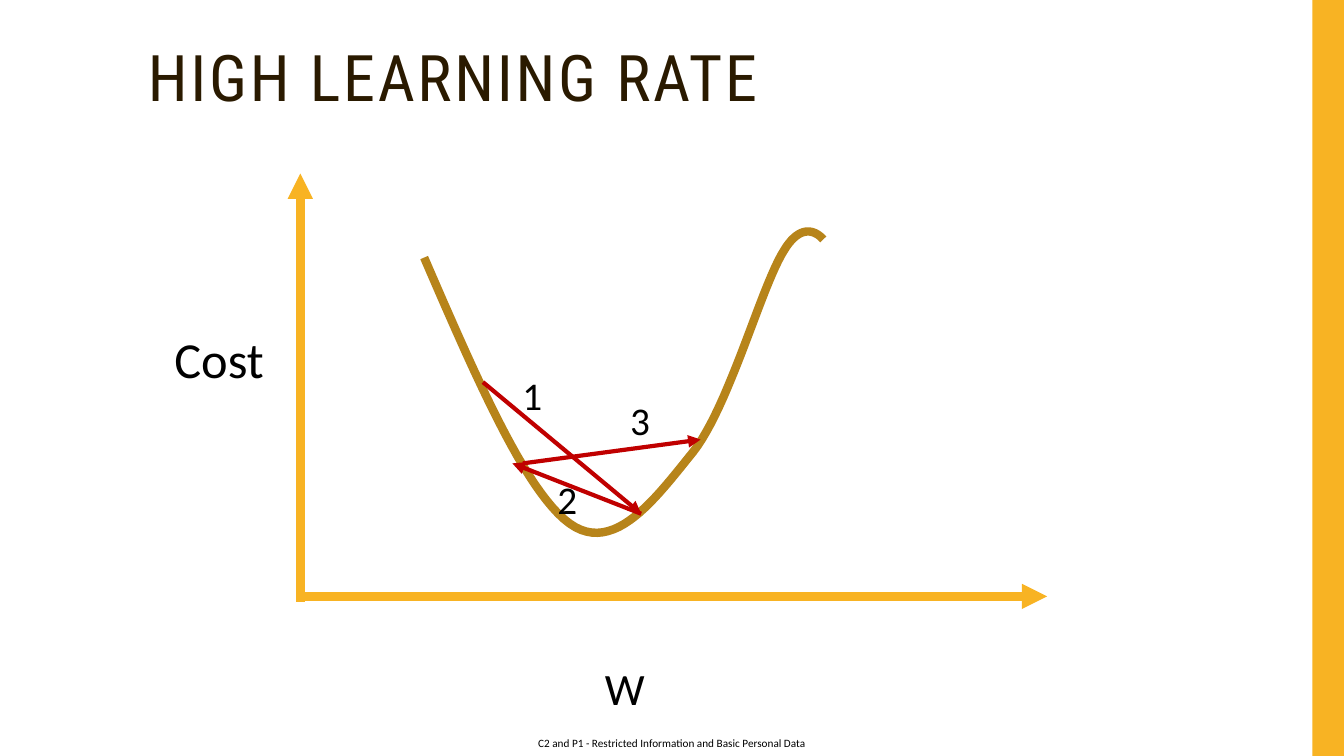
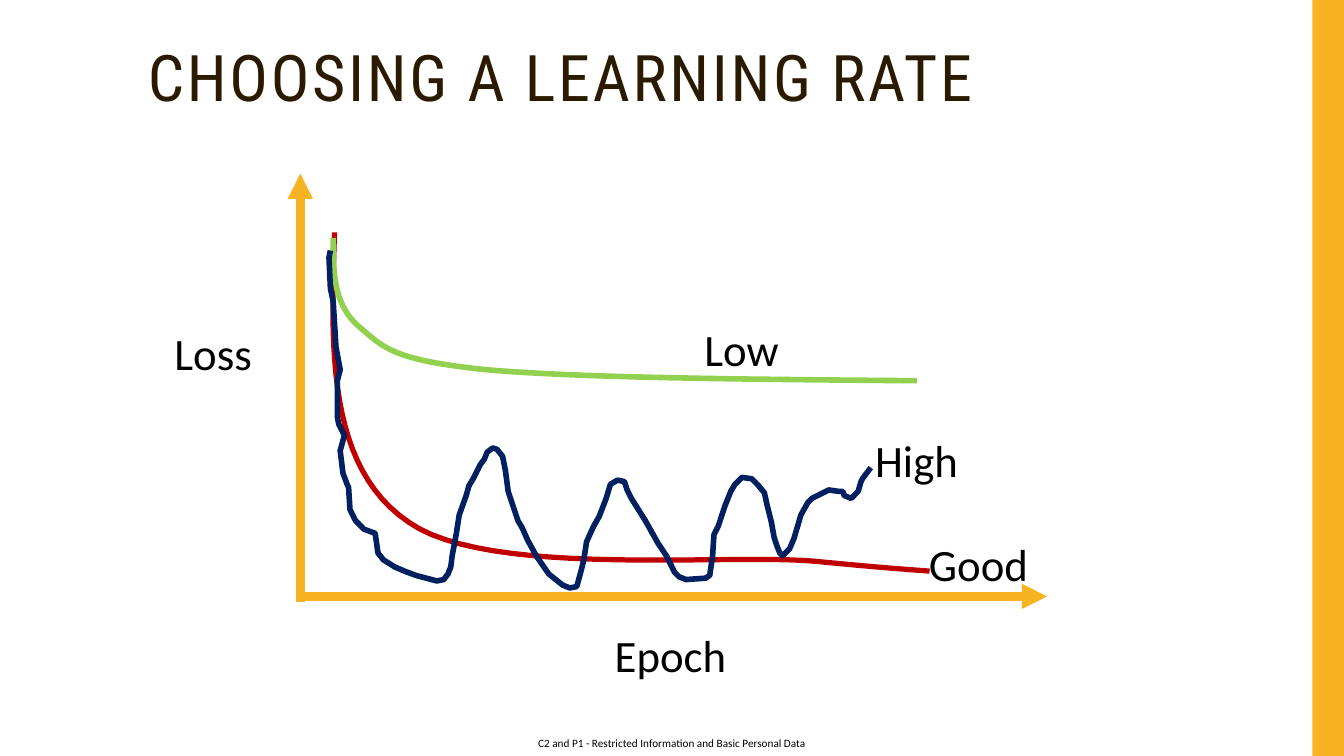
"""Build two slides about the learning rate of gradient descent."""
from dataclasses import dataclass

import pptx
import pptx.dml.color
import pptx.enum.shapes
import pptx.enum.text
import pptx.oxml
import pptx.oxml.ns
import pptx.util

Pt = pptx.util.Pt


@dataclass(frozen=True)
class Theme:
    """Colours, fonts and type sizes shared by the slides."""
    amber: str = "F8B323"
    bronze: str = "B7841A"
    red: str = "C00000"
    green: str = "92D050"
    navy: str = "002060"
    brown: str = "2A1A00"
    black: str = "000000"
    title_font: str = "Roboto Condensed"
    body_font: str = "Calibri"
    title: float = 45.9
    axis_large: float = 36
    label: float = 32
    step: float = 28
    footer: float = 8


THEME = Theme()
FOOTER = "C2 and P1 - Restricted Information and Basic Personal Data"

# Curves in points: a start, then two control points and an end per segment.
COST_CURVE = [
    (303, 184), (339, 267), (375, 351), (407, 374), (439, 397), (469, 355), (495, 323),
    (521, 290), (544, 204), (560, 179), (575, 154), (588, 171), (588, 171)]
GOOD_CURVE = [
    (239, 166), (236, 250), (234, 334), (292, 373), (348, 413), (521, 395), (583, 401),
    (645, 407), (654, 407), (664, 408)]
LOW_CURVE = [
    (238, 170), (238, 194), (238, 217), (256, 233), (274, 248), (279, 257), (346, 264),
    (412, 270), (534, 271), (655, 272)]
# The jagged loss of a high rate, as plain vertices in points.
HIGH_LOSS = [
    (236, 179), (235, 184), (236, 206), (238, 215), (240, 248), (243, 264), (241, 272),
    (241, 298), (242, 303), (246, 311), (243, 322), (245, 338), (248, 346), (249, 348),
    (250, 364), (254, 372), (260, 378), (268, 381), (270, 395), (274, 400), (282, 405),
    (289, 408), (297, 411), (312, 415), (317, 414), (320, 410), (322, 405), (323, 397),
    (326, 381), (328, 368), (333, 354), (335, 347), (338, 342), (343, 332), (346, 328),
    (348, 323), (352, 320), (355, 321), (359, 326), (361, 336), (363, 351), (366, 360),
    (370, 372), (373, 377), (377, 386), (383, 397), (392, 410), (397, 414), (402, 418),
    (407, 420), (412, 419), (415, 408), (417, 400), (419, 387), (424, 376), (428, 369),
    (433, 356), (436, 346), (441, 343), (446, 344), (448, 350), (451, 356), (461, 372),
    (470, 388), (476, 397), (482, 409), (485, 412), (490, 414), (504, 413), (507, 411),
    (509, 397), (510, 382), (513, 376), (518, 361), (522, 351), (525, 346), (530, 341),
    (537, 342), (541, 346), (546, 352), (548, 361), (551, 373), (553, 384), (555, 390),
    (557, 395), (559, 397), (564, 392), (567, 385), (570, 375), (572, 368), (577, 359),
    (580, 356), (590, 351), (592, 350), (599, 351), (602, 351), (603, 354), (608, 356),
    (613, 351), (615, 344), (616, 342), (622, 334)]


def rgb(color):
    """Return a colour object for a hex string."""
    return pptx.dml.color.RGBColor.from_string(color)


def add_text(slide, text, box, size, font=THEME.body_font, color=THEME.black):
    """Add a one-line text box and return it."""
    sp = slide.shapes.add_textbox(*map(Pt, box))
    tf = sp.text_frame
    tf.text = text
    tf.word_wrap = False
    r = tf.paragraphs[0].runs[0]
    r.font.size = Pt(size)
    r.font.name = font
    r.font.color.rgb = rgb(color)
    return sp


def add_title(slide, text):
    """Add the letter-spaced slide title."""
    sp = add_text(slide, text, (98.5, 30, 801.5, 56), THEME.title,
                  THEME.title_font, THEME.brown)
    tf = sp.text_frame
    tf.word_wrap = True
    tf.vertical_anchor = pptx.enum.text.MSO_ANCHOR.MIDDLE
    p = tf.paragraphs[0]
    p.line_spacing = 0.9
    p.runs[0].font._element.set("spc", "200")


def add_band(slide):
    """Add the amber band on the right edge."""
    sp = slide.shapes.add_shape(pptx.enum.shapes.MSO_SHAPE.RECTANGLE,
                                Pt(937.5), Pt(0), Pt(22.5), Pt(540))
    sp.shadow.inherit = False
    sp.fill.solid()
    sp.fill.fore_color.rgb = rgb(THEME.amber)
    sp.line.fill.background()


def add_footer(slide):
    """Add the centred classification line."""
    sp = add_text(slide, FOOTER, (372.5, 522, 215, 18), THEME.footer)
    tf = sp.text_frame
    tf.margin_left = tf.margin_right = tf.margin_top = tf.margin_bottom = Pt(0)
    tf.vertical_anchor = pptx.enum.text.MSO_ANCHOR.MIDDLE
    tf.paragraphs[0].alignment = pptx.enum.text.PP_ALIGN.CENTER


def add_arrow(slide, start, end, color, width):
    """Add a straight arrow that points at end."""
    cn = slide.shapes.add_connector(pptx.enum.shapes.MSO_CONNECTOR.STRAIGHT,
                                    *map(Pt, start + end))
    cn.line.color.rgb = rgb(color)
    cn.line.width = Pt(width)
    sp_pr = cn._element.spPr
    head = pptx.oxml.parse_xml(
        '<a:tailEnd %s type="triangle"/>' % pptx.oxml.ns.nsdecls("a"))
    sp_pr.find(pptx.oxml.ns.qn("a:ln")).append(head)
    sp_pr.append(pptx.oxml.parse_xml("<a:effectLst %s/>" % pptx.oxml.ns.nsdecls("a")))


def add_axes(slide):
    """Add the horizontal and vertical axis arrows."""
    add_arrow(slide, (212.5, 426), (748, 426), THEME.amber, 6)
    add_arrow(slide, (214.5, 430), (214.5, 124), THEME.amber, 6)


def bezier_points(nodes, steps=24):
    """Sample a chain of cubic Bezier segments."""
    points = [nodes[0]]
    for i in range(0, len(nodes) - 1, 3):
        segment = nodes[i:i + 4]
        for k in range(1, steps + 1):
            t = k / steps
            weights = ((1 - t) ** 3, 3 * t * (1 - t) ** 2, 3 * t * t * (1 - t), t ** 3)
            points.append(tuple(sum(w * node[axis] for w, node in zip(weights, segment))
                                for axis in (0, 1)))
    return points


def add_curve(slide, points, color, width):
    """Add an open, unfilled line through the points."""
    vertices = [(Pt(x), Pt(y)) for x, y in points]
    builder = slide.shapes.build_freeform(*vertices[0])
    builder.add_line_segments(vertices[1:], close=False)
    sp = builder.convert_to_shape()
    sp.shadow.inherit = False
    sp.fill.background()
    sp.line.color.rgb = rgb(color)
    sp.line.width = Pt(width)


def add_graph_slide(prs, title):
    """Add a slide with the shared frame, title and axes."""
    slide = prs.slides.add_slide(prs.slide_layouts[6])
    add_band(slide)
    add_footer(slide)
    add_title(slide, title)
    add_axes(slide)
    return slide


def add_high_rate_slide(prs):
    """Show the overshooting steps on the cost curve."""
    slide = add_graph_slide(prs, "HIGH LEARNING RATE")
    add_curve(slide, bezier_points(COST_CURVE), THEME.bronze, 6)
    add_text(slide, "W", (425, 468.5, 48, 46), THEME.label)
    add_text(slide, "Cost", (117.5, 231, 86, 51), THEME.axis_large)
    steps = [
        ("1", (345, 273), (458, 367), (366, 261.5)),
        ("2", (458, 367), (366, 331), (391, 336)),
        ("3", (373.5, 331), (500.5, 314), (443, 279.5)),
    ]
    for number, start, end, corner in steps:
        add_arrow(slide, start, end, THEME.red, 3)
        add_text(slide, number, corner + (29, 41), THEME.step)


def add_choice_slide(prs):
    """Compare the loss of low, good and high rates."""
    slide = add_graph_slide(prs, "CHOOSING A LEARNING RATE")
    add_curve(slide, bezier_points(GOOD_CURVE), THEME.red, 3.75)
    add_curve(slide, bezier_points(LOW_CURVE), THEME.green, 4)
    add_curve(slide, HIGH_LOSS, THEME.navy, 4)
    labels = [
        ("Epoch", 432, 445, 95),
        ("Loss", 117.5, 229, 73.5),
        ("Low", 496, 226, 71.5),
        ("High", 618, 305.5, 75),
        ("Good", 656.5, 380, 91),
    ]
    for text, left, top, width in labels:
        add_text(slide, text, (left, top, width, 46), THEME.label)


def main():
    """Build and save the presentation."""
    prs = pptx.Presentation()
    prs.slide_width, prs.slide_height = Pt(960), Pt(540)
    add_high_rate_slide(prs)
    add_choice_slide(prs)
    prs.save("out.pptx")


main()
